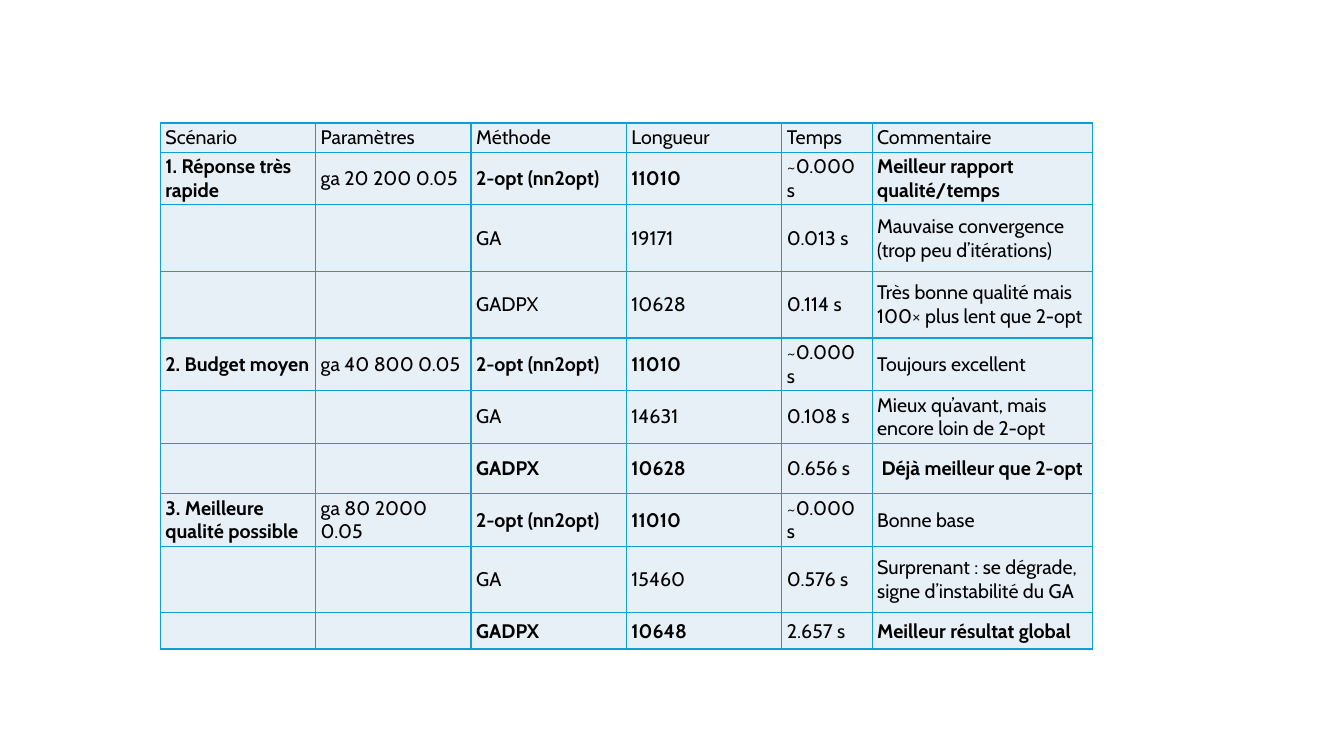
from dataclasses import dataclass

from lxml import etree
from pptx import Presentation
from pptx.dml.color import RGBColor
from pptx.enum.text import MSO_ANCHOR
from pptx.oxml.ns import qn
from pptx.util import Inches, Pt

MIDDLE = MSO_ANCHOR.MIDDLE
BLANK_LAYOUT = 6
BORDER_SIDES = ("a:lnL", "a:lnR", "a:lnT", "a:lnB")


@dataclass(frozen=True)
class Theme:
    font: str = "Cabin"
    body_size: int = 14
    ink: str = "000000"
    cell_fill: str = "E7F0F7"
    border: str = "0F9ED5"
    border_width: int = 1
    side_margin: float = 0.05
    end_margin: float = 0.02


def write(frame, text, *, theme, bold=False):
    run = frame.paragraphs[0].add_run()
    run.text = text
    run.font.name = theme.font
    run.font.size = Pt(theme.body_size)
    run.font.bold = bold
    run.font.color.rgb = RGBColor.from_string(theme.ink)


class SlideBuilder:
    def __init__(self, deck, theme):
        self.theme = theme
        self.width, self.height = deck.slide_width, deck.slide_height
        self.slide = deck.slides.add_slide(deck.slide_layouts[BLANK_LAYOUT])

    def across(self, percent):
        return round(self.width * percent / 100)

    def down(self, percent):
        return round(self.height * percent / 100)

    def table(self, left, top, column_widths, row_heights, rows):
        grid = self.slide.shapes.add_table(
            len(row_heights), len(column_widths),
            self.across(left), self.down(top),
            self.across(sum(column_widths)), self.down(sum(row_heights)),
        ).table
        grid.first_row = False
        grid.horz_banding = False
        for column, width in zip(grid.columns, column_widths):
            column.width = self.across(width)
        for row, height, entries in zip(grid.rows, row_heights, rows):
            row.height = self.down(height)
            for cell, (text, bold) in zip(row.cells, entries):
                self.cell(cell, text, bold)

    def cell(self, cell, text, bold):
        theme = self.theme
        cell.vertical_anchor = MIDDLE
        cell.margin_left = cell.margin_right = Inches(theme.side_margin)
        cell.margin_top = cell.margin_bottom = Inches(theme.end_margin)
        self.borders(cell)
        cell.fill.solid()
        cell.fill.fore_color.rgb = RGBColor.from_string(theme.cell_fill)
        write(cell.text_frame, text, theme=theme, bold=bold)

    def borders(self, cell):
        properties = cell._tc.get_or_add_tcPr()
        for side in BORDER_SIDES:
            line = etree.SubElement(
                properties, qn(side), w=str(Pt(self.theme.border_width)))
            fill = etree.SubElement(line, qn("a:solidFill"))
            etree.SubElement(fill, qn("a:srgbClr"), val=self.theme.border)


HEADINGS = ("Scénario", "Paramètres", "Méthode", "Longueur", "Temps", "Commentaire")
TWO_OPT = ("2-opt (nn2opt)", "11010", "~0.000 s")

# Each trial: method, length, time, comment, bold result, bold comment
SCENARIOS = (
    ("1. Réponse très rapide", "ga 20 200 0.05", (
        (*TWO_OPT, "Meilleur rapport qualité/temps", True, True),
        ("GA", "19171", "0.013 s",
         "Mauvaise convergence (trop peu d’itérations)", False, False),
        ("GADPX", "10628", "0.114 s",
         "Très bonne qualité mais 100× plus lent que 2-opt", False, False),
    )),
    ("2. Budget moyen", "ga 40 800 0.05", (
        (*TWO_OPT, "Toujours excellent", True, False),
        ("GA", "14631", "0.108 s",
         "Mieux qu’avant, mais encore loin de 2-opt", False, False),
        ("GADPX", "10628", "0.656 s", " Déjà meilleur que 2-opt", True, True),
    )),
    ("3. Meilleure qualité possible", "ga 80 2000 0.05", (
        (*TWO_OPT, "Bonne base", True, False),
        ("GA", "15460", "0.576 s",
         "Surprenant : se dégrade, signe d’instabilité du GA", False, False),
        ("GADPX", "10648", "2.657 s", "Meilleur résultat global", True, True),
    )),
)

EQUAL_COLUMN, TIME_COLUMN, COMMENT_COLUMN = 11.56, 6.72, 16.4
COLUMN_WIDTHS = [EQUAL_COLUMN] * 4 + [TIME_COLUMN, COMMENT_COLUMN]
HEADER_ROW, TWO_LINES, ROOMY, VERDICT, LAST_ROW = 3.87, 6.97, 8.8, 6.67, 4.8
ROW_HEIGHTS = [HEADER_ROW, TWO_LINES, ROOMY, ROOMY, TWO_LINES, TWO_LINES,
               VERDICT, TWO_LINES, ROOMY, LAST_ROW]


def result_rows():
    yield [(heading, False) for heading in HEADINGS]
    for scenario, parameters, trials in SCENARIOS:
        for index, trial in enumerate(trials):
            method, length, time, comment, bold_result, bold_comment = trial
            first = index == 0
            yield [
                (scenario if first else "", first),
                (parameters if first else "", False),
                (method, bold_result),
                (length, bold_result),
                (time, False),
                (comment, bold_comment),
            ]


def main():
    deck = Presentation()
    deck.slide_width, deck.slide_height = Inches(13.33), Inches(7.5)
    comparison = SlideBuilder(deck, Theme())
    comparison.table(11.93, 16.27, COLUMN_WIDTHS, ROW_HEIGHTS, result_rows())
    deck.save("out.pptx")


if __name__ == "__main__":
    main()
